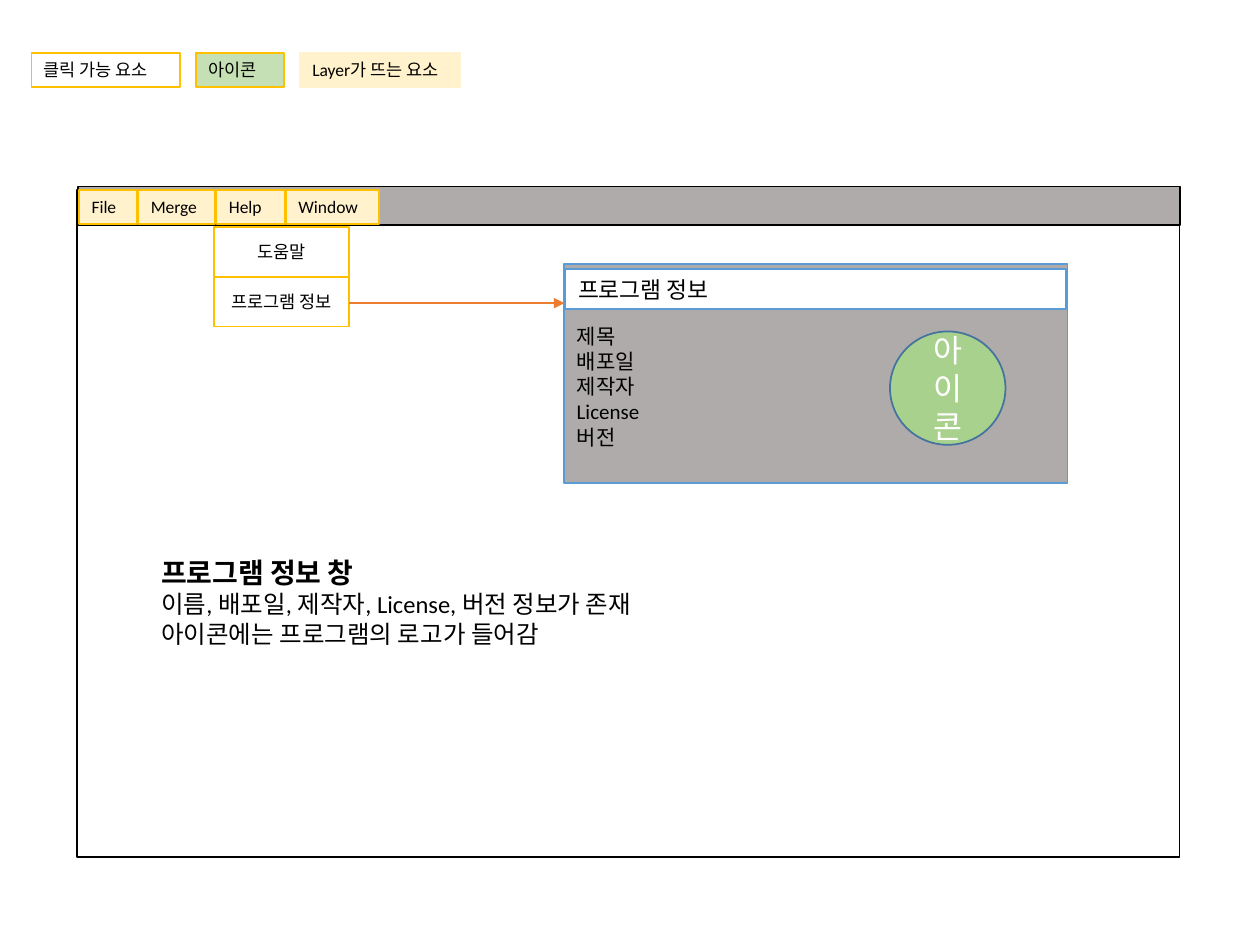
from lxml import etree
from pptx import Presentation
from pptx.dml.color import RGBColor
from pptx.enum import shapes, text
from pptx.oxml.ns import qn
from pptx.util import Pt

COLORS = {
    "black": "000000", "white": "FFFFFF", "gray": "AFABAB",
    "gold": "FFC000", "cream": "FFF2CC", "mint": "C5E0B4",
    "green": "A9D18E", "blue": "5B9BD5", "navy": "43739E", "orange": "ED7D31",
}
RECT = shapes.MSO_SHAPE.RECTANGLE
LEFT, CENTER = text.PP_ALIGN.LEFT, text.PP_ALIGN.CENTER
TOP, MIDDLE = text.MSO_ANCHOR.TOP, text.MSO_ANCHOR.MIDDLE


def color(name):
    return RGBColor.from_string(COLORS[name])


def add_box(lines, x, y, width, height, *, kind=RECT, fill=None, line=None, size=10,
            ink="black", align=LEFT, anchor=TOP, inset_top=3.6, title_size=None):
    """Add a shape, or a plain text box when no fill is given."""
    place = Pt(x), Pt(y), Pt(width), Pt(height)
    if fill:
        box = page.shapes.add_shape(kind, *place)
        box.shadow.inherit = False
        box.fill.solid()
        box.fill.fore_color.rgb = color(fill)
        box.line.color.rgb = color(line)
        box.line.width = Pt(1)
    else:
        box = page.shapes.add_textbox(*place)
    frame = box.text_frame
    frame.word_wrap = True
    frame.vertical_anchor = anchor
    frame.margin_top = Pt(inset_top)
    for index, words in enumerate(lines):
        para = frame.paragraphs[0] if index == 0 else frame.add_paragraph()
        para.alignment = align
        span = para.add_run()
        span.text = words
        is_title = bool(title_size) and index == 0
        span.font.name = "Calibri"
        span.font.size = Pt(title_size if is_title else size)
        span.font.bold = is_title
        span.font.color.rgb = color(ink)
    return box


deck = Presentation()
deck.slide_width, deck.slide_height = Pt(720), Pt(540)
page = deck.slides.add_slide(deck.slide_layouts[6])

# Application window and menu bar
add_box([], 44, 108.7, 630, 380.9, fill="white", line="black")
add_box([], 44.5, 106.6, 630, 22.2, fill="gray", line="black")

# Menu entries
x = 45.2
for label, width in [("File", 33.2), ("Merge", 44), ("Help", 39), ("Window", 53.3)]:
    add_box([label], x, 108.7, width, 19.4, fill="cream", line="gold")
    x += width + 0.7

# Legend
x = 18
for label, width, fill, line in [
    ("클릭 가능 요소", 85, "white", "gold"),
    ("아이콘", 50.4, "mint", "gold"),
    ("Layer가 뜨는 요소", 91.5, "cream", "cream"),
]:
    add_box([label], x, 30.2, width, 19.4, fill=fill, line=line)
    x += width + 9

# Help drop-down
for row, label in enumerate(["도움말", "프로그램 정보"]):
    add_box([label], 122.5, 129.8 + row * 28.4, 77, 28.4, fill="white", line="gold",
            align=CENTER, anchor=MIDDLE)

# Program information dialog
add_box(["제목", "배포일", "제작자", "License", "버전"], 322.5, 150.8, 287.5, 125.2,
        fill="gray", line="blue", size=12, anchor=MIDDLE, inset_top=18.2)
add_box(["프로그램 정보"], 323.2, 153.8, 286, 23, fill="white", line="blue", size=13)
add_box(["아이콘"], 508.6, 189.4, 66, 64.8, kind=shapes.MSO_SHAPE.OVAL, fill="green",
        line="navy", size=18, ink="white", align=CENTER, anchor=MIDDLE)

# Description
add_box(["프로그램 정보 창", "이름, 배포일, 제작자, License, 버전 정보가 존재",
         "아이콘에는 프로그램의 로고가 들어감"],
        85, 314, 547, 60.5, size=14, title_size=16)

# Arrow from the menu entry to the dialog
arrow = page.shapes.add_connector(
    shapes.MSO_CONNECTOR.STRAIGHT, Pt(199.5), Pt(173.2), Pt(322.5), Pt(173.2))
arrow.line.color.rgb = color("orange")
arrow.line.width = Pt(1.5)
etree.SubElement(arrow.line._get_or_add_ln(), qn("a:tailEnd"), type="triangle")
etree.SubElement(arrow._element.spPr, qn("a:effectLst"))

deck.save("out.pptx")
